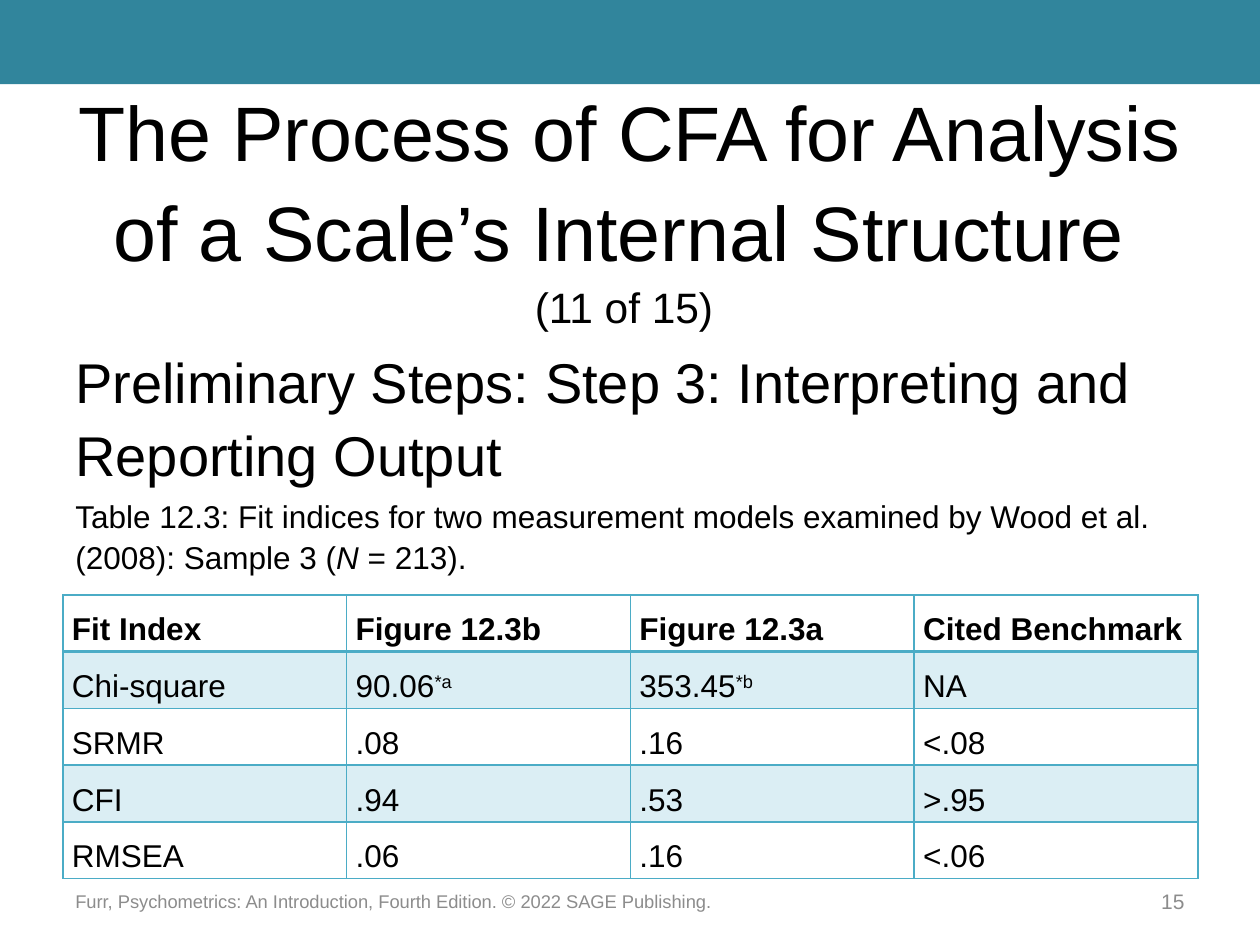
"""Build the slide on fit indices of two measurement models."""
import pptx
import pptx.util
import pptx.dml.color
import pptx.enum.shapes
import pptx.enum.text
import pptx.oxml
import pptx.oxml.ns

Cm, Pt = pptx.util.Cm, pptx.util.Pt
ALIGN = pptx.enum.text.PP_ALIGN
ANCHOR = pptx.enum.text.MSO_ANCHOR

BAND, LINE, TINT, BLACK, GREY = "31859C", "4BACC6", "DBEEF4", "000000", "8C8C8C"

TITLE = [[("The Process of CFA for Analysis of a Scale’s Internal Structure", {"size": 44.1}),
          (" \v", {"size": 43.2}), ("(11 of 15) ", {"size": 24.3})]]
BODY = [[("Preliminary Steps: Step 3: Interpreting and Reporting Output", {"size": 32})],
        [("Table 12.3: Fit indices for two measurement models examined by Wood et al. "
          "(2008): Sample 3 (", {"size": 18}),
         ("N ", {"size": 18, "italic": True}), ("= 213).", {"size": 18})]]
FOOTER = [[("Furr, Psychometrics: An Introduction, Fourth Edition. © 2022 SAGE Publishing.",
            {"size": 10.5, "color": GREY})]]
NUMBER = [[("15", {"size": 12, "color": GREY})]]

BOXES = [
    (TITLE, (1.27, 2.54, 22.86, 3.18), ANCHOR.MIDDLE, {"alignment": ALIGN.CENTER, "line_spacing": 1.08}),
    (BODY, (1.27, 6.78, 22.86, 5.51), ANCHOR.TOP, {"alignment": ALIGN.LEFT, "line_spacing": 1.08}),
    (FOOTER, (1.27, 17.65, 20.96, 1.02), ANCHOR.MIDDLE, {"alignment": ALIGN.LEFT}),
    (NUMBER, (22.86, 17.65, 1.27, 1.02), ANCHOR.MIDDLE, {"alignment": ALIGN.RIGHT}),
]

ROWS = [
    ["Fit Index", "Figure 12.3b", "Figure 12.3a", "Cited Benchmark"],
    ["Chi-square", ("90.06", "*a"), ("353.45", "*b"), "NA"],
    ["SRMR", ".08", ".16", "<.08"],
    ["CFI", ".94", ".53", ">.95"],
    ["RMSEA", ".06", ".16", "<.06"],
]
TABLE_LEFT, TABLE_TOP, COL_W, ROW_H = 1.27, 11.99, 5.72, 1.04
CELL = {"margin_left": Cm(0.18), "margin_right": Cm(0.18), "margin_top": 0, "margin_bottom": 0}


def rgb(code):
    return pptx.dml.color.RGBColor.from_string(code)


def apply(obj, values):
    for name, value in values.items():
        setattr(obj, name, value)


def add_run(p, text, size, color=BLACK, **style):
    r = p.add_run()
    r.text = text
    apply(r.font, {"name": "Arial", "size": Pt(size), **style})
    r.font.color.rgb = rgb(color)
    return r


def add_text(s, paragraphs, at, anchor, values):
    tf = s.shapes.add_textbox(*map(Cm, at)).text_frame
    apply(tf, {"word_wrap": True, "vertical_anchor": anchor})
    for i, runs in enumerate(paragraphs):
        p = tf.add_paragraph() if i else tf.paragraphs[0]
        apply(p, values)
        if i:
            p.space_before = Pt(3.6)
        for text, style in runs:
            parts = text.split("\v")
            add_run(p, parts[0], **style)
            for part in parts[1:]:
                p.add_line_break()
                if part:
                    add_run(p, part, **style)


def add_borders(cell, widths):
    tc_pr = cell._tc.get_or_add_tcPr()
    for side, width in widths.items():
        tc_pr.append(pptx.oxml.parse_xml(
            f'<a:ln{side} {pptx.oxml.ns.nsdecls("a")} w="{Pt(width)}"><a:solidFill>'
            f'<a:srgbClr val="{LINE}"/></a:solidFill></a:ln{side}>'))


def add_table(s):
    n_rows, n_cols = len(ROWS), len(ROWS[0])
    at = (TABLE_LEFT, TABLE_TOP, COL_W * n_cols, ROW_H * n_rows)
    table = s.shapes.add_table(n_rows, n_cols, *map(Cm, at)).table
    apply(table, {"first_row": False, "horz_banding": False})
    for i, row in enumerate(ROWS):
        table.rows[i].height = Cm(ROW_H)
        for j, value in enumerate(row):
            cell = table.cell(i, j)
            apply(cell, CELL)
            add_borders(cell, {"L": 1, "R": 1, "T": 2 if i == 1 else 1, "B": 1 if i else 2})
            if i % 2:
                cell.fill.solid()
                cell.fill.fore_color.rgb = rgb(TINT)
            else:
                cell.fill.background()
            p = cell.text_frame.paragraphs[0]
            apply(p, {"line_spacing": 1.5, "space_after": Pt(12 if i else 0)})
            text, mark = value if isinstance(value, tuple) else (value, None)
            add_run(p, text, 18, bold=i == 0)
            if mark:
                add_run(p, mark, 18)._r.get_or_add_rPr().set("baseline", "30000")


def main():
    prs = pptx.Presentation()
    apply(prs, {"slide_width": Cm(25.4), "slide_height": Cm(19.05)})
    s = prs.slides.add_slide(prs.slide_layouts[6])
    sp = s.shapes.add_shape(pptx.enum.shapes.MSO_SHAPE.RECTANGLE, 0, 0, prs.slide_width, Cm(1.7))
    sp.shadow.inherit = False
    sp.fill.solid()
    sp.fill.fore_color.rgb = rgb(BAND)
    sp.line.fill.background()
    for box in BOXES:
        add_text(s, *box)
    add_table(s)
    prs.save("out.pptx")


if __name__ == "__main__":
    main()
